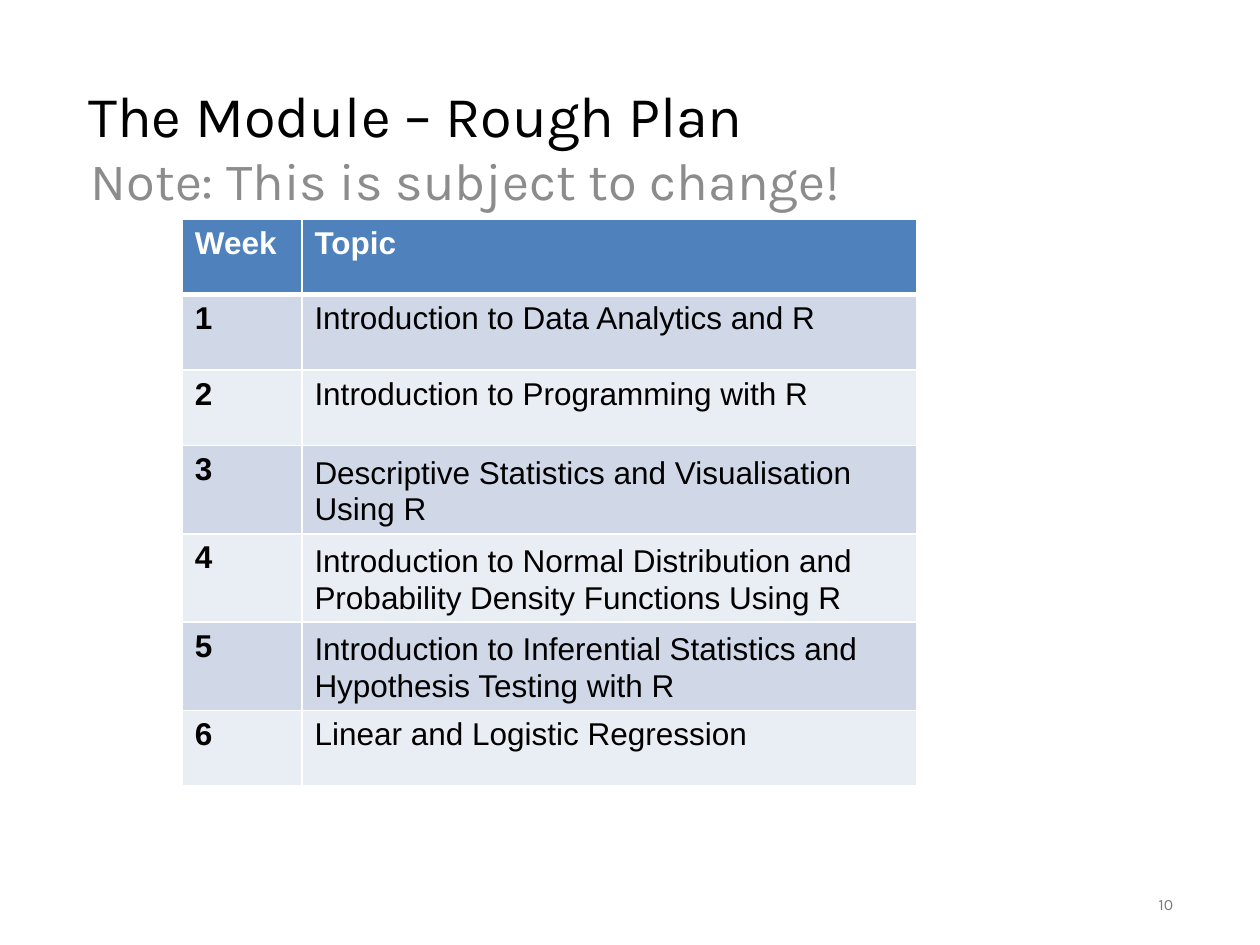
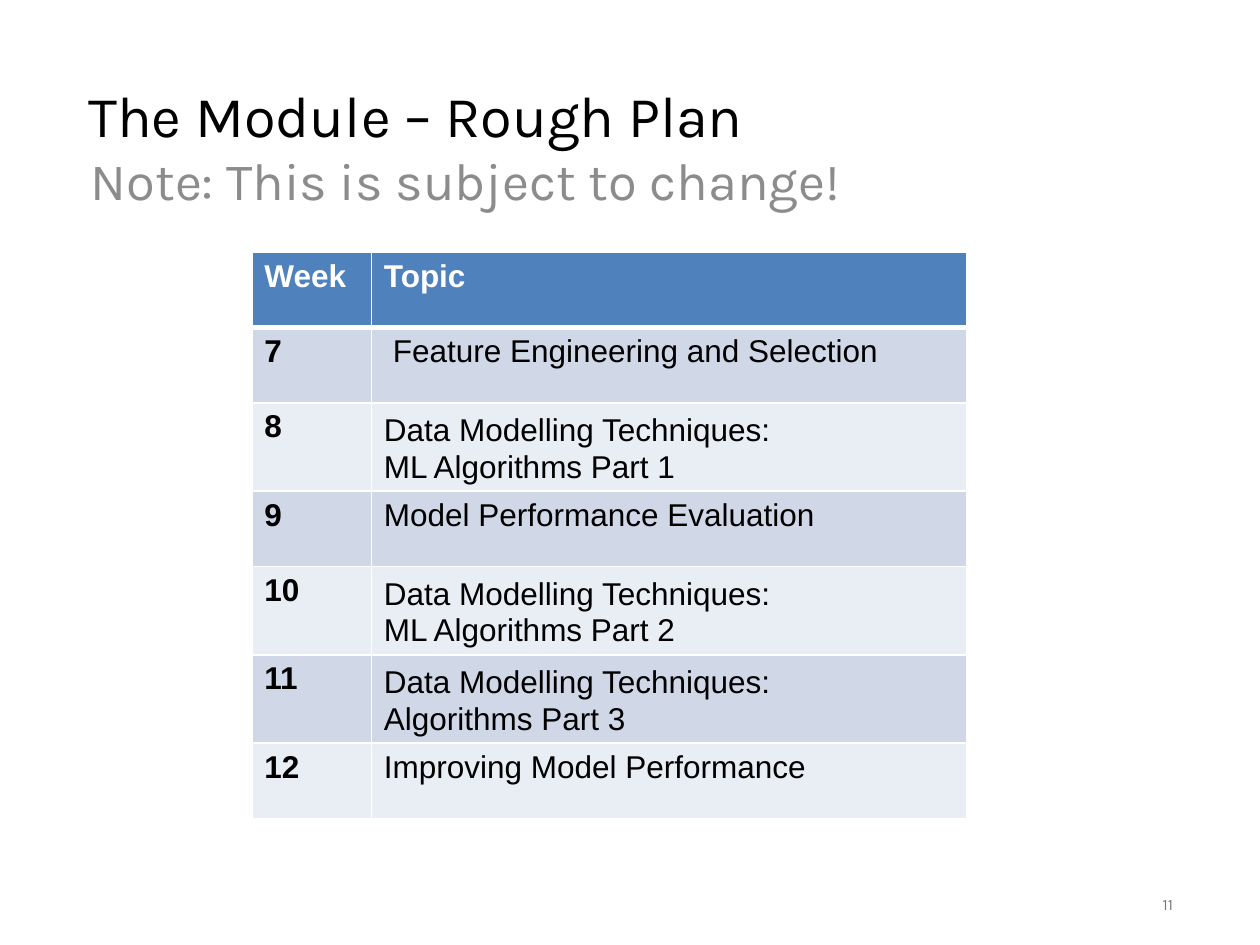
from dataclasses import dataclass

from lxml import etree
from pptx import Presentation
from pptx.dml.color import RGBColor
from pptx.enum.text import MSO_ANCHOR, MSO_AUTO_SIZE, PP_ALIGN
from pptx.oxml.ns import qn
from pptx.util import Cm, Pt

MIDDLE = MSO_ANCHOR.MIDDLE
TOP = MSO_ANCHOR.TOP
NO_AUTOFIT = MSO_AUTO_SIZE.NONE
LEFT = PP_ALIGN.LEFT
RIGHT = PP_ALIGN.RIGHT

TITLE_FONT = "Karla"
TABLE_FONT = "Arial"
TITLE_ONLY_LAYOUT = 5

COLOURS = {
    "black": "000000",
    "white": "FFFFFF",
    "note": "8D8C8D",
    "page_number": "797979",
    "header": "4F81BD",
    "odd_row": "D0D8E8",
    "even_row": "E9EDF4",
}

WEEK_WIDTH = Cm(2.41)
SHORT_ROW = Cm(1.52)
TALL_ROW = Cm(1.78)
CELL_INDENT = Cm(0.25)
TECHNIQUES_MARGIN = Cm(3.5)  # sends the part number to a second line


@dataclass
class TextStyle:
    font: str
    size: float
    colour: str
    bold: bool = False
    align: PP_ALIGN = LEFT
    indent: int = 0
    line_spacing: float | None = None
    space_before: float = 0


@dataclass
class Topic:
    text: str
    two_lines: bool = False
    indent: int = CELL_INDENT
    right_margin: int = 0


@dataclass
class Plan:
    page: int
    first_week: int
    left: int
    top: int
    topic_width: int
    topics: list[Topic]


TITLE_LINES = [
    ("The Module – Rough Plan",
     TextStyle(TITLE_FONT, 33, "black", indent=Cm(0.03), line_spacing=42.5, space_before=1)),
    ("Note: This is subject to change!",
     TextStyle(TITLE_FONT, 30, "note", indent=Cm(0.08), line_spacing=35.3)),
]
PAGE_STYLE = TextStyle(TITLE_FONT, 9, "page_number", align=RIGHT, line_spacing=14.2)

PLANS = [
    Plan(10, 1, Cm(3.68), Cm(4.42), Cm(12.4), [
        Topic("Introduction to Data Analytics and R"),
        Topic("Introduction to Programming with R"),
        Topic("Descriptive Statistics and Visualisation Using R", True),
        Topic("Introduction to Normal Distribution and "
              "Probability Density Functions Using R", True),
        Topic("Introduction to Inferential Statistics and "
              "Hypothesis Testing with R", True),
        Topic("Linear and Logistic Regression"),
    ]),
    Plan(11, 7, Cm(5.08), Cm(5.08), Cm(11.99), [
        Topic("Feature Engineering and Selection", indent=Cm(0.43)),
        Topic("Data Modelling Techniques: ML Algorithms Part 1", True,
              right_margin=TECHNIQUES_MARGIN),
        Topic("Model Performance Evaluation"),
        Topic("Data Modelling Techniques: ML Algorithms Part 2", True,
              right_margin=TECHNIQUES_MARGIN),
        Topic("Data Modelling Techniques: Algorithms Part 3", True,
              right_margin=TECHNIQUES_MARGIN),
        Topic("Improving Model Performance"),
    ]),
]


def colour(name: str) -> RGBColor:
    return RGBColor.from_string(COLOURS[name])


def write_paragraph(paragraph, text: str, style: TextStyle) -> None:
    paragraph.text = text
    paragraph.alignment = style.align
    paragraph.space_before = Pt(style.space_before)
    if style.line_spacing:
        paragraph.line_spacing = Pt(style.line_spacing)
    properties = paragraph._p.get_or_add_pPr()
    properties.set("marL", str(int(style.indent)))
    properties.set("indent", "0")
    for run in paragraph.runs:
        run.font.name = style.font
        run.font.size = Pt(style.size)
        run.font.bold = style.bold
        run.font.color.rgb = colour(style.colour)


def prepare_frame(text_frame) -> None:
    text_frame.word_wrap = True
    text_frame.auto_size = NO_AUTOFIT
    text_frame.vertical_anchor = MIDDLE
    text_frame.margin_left = text_frame.margin_right = 0
    text_frame.margin_top = text_frame.margin_bottom = 0


def add_title(slide) -> None:
    title = slide.shapes.title
    title.left, title.top = Cm(1.75), Cm(1.02)
    title.width, title.height = Cm(21.89), Cm(3.68)
    text_frame = title.text_frame
    prepare_frame(text_frame)
    text_frame.margin_top = Cm(0.03)
    text_frame.text = "\n".join(text for text, _ in TITLE_LINES)
    for paragraph, (text, style) in zip(text_frame.paragraphs, TITLE_LINES):
        write_paragraph(paragraph, text, style)


def add_page_number(slide, number: int) -> None:
    box = slide.shapes.add_textbox(Cm(17.93), Cm(17.65), Cm(5.72), Cm(1.02))
    prepare_frame(box.text_frame)
    write_paragraph(box.text_frame.paragraphs[0], str(number), PAGE_STYLE)


def set_borders(cell, top: float = 1, bottom: float = 1) -> None:
    """White borders; they stand before the fill in the cell properties."""
    properties = cell._tc.get_or_add_tcPr()
    widths = {"a:lnL": 1, "a:lnR": 1, "a:lnT": top, "a:lnB": bottom}
    for position, (tag, width) in enumerate(widths.items()):
        line = etree.Element(qn(tag), w=str(int(Pt(width))))
        fill = etree.SubElement(line, qn("a:solidFill"))
        etree.SubElement(fill, qn("a:srgbClr"), val=COLOURS["white"])
        properties.insert(position, line)


def fill_cell(cell, topic: Topic, row: int, bold: bool) -> None:
    is_header = row == 0
    fill_name = "header" if is_header else ("odd_row" if row % 2 else "even_row")
    cell.fill.solid()
    cell.fill.fore_color.rgb = colour(fill_name)
    set_borders(cell, top=3 if row == 1 else 1, bottom=3 if is_header else 1)
    cell.vertical_anchor = TOP
    cell.margin_left = cell.margin_bottom = 0
    cell.margin_right = topic.right_margin
    cell.margin_top = Cm(0.18 if topic.two_lines else 0.13)
    style = TextStyle(
        TABLE_FONT, 18, "white" if is_header else "black", bold,
        indent=topic.indent,
        line_spacing=20.9 if topic.two_lines else None,
        space_before=5 if topic.two_lines else 3.6,
    )
    write_paragraph(cell.text_frame.paragraphs[0], topic.text, style)


def add_plan_table(slide, plan: Plan) -> None:
    topics = [Topic("Topic"), *plan.topics]
    heights = [TALL_ROW if topic.two_lines else SHORT_ROW for topic in topics]
    table = slide.shapes.add_table(
        len(topics), 2, plan.left, plan.top,
        WEEK_WIDTH + plan.topic_width, sum(heights),
    ).table
    table.columns[0].width = WEEK_WIDTH
    table.columns[1].width = plan.topic_width
    for row, (topic, height) in enumerate(zip(topics, heights)):
        table.rows[row].height = height
        week = str(plan.first_week + row - 1) if row else "Week"
        fill_cell(table.cell(row, 0), Topic(week), row, bold=True)
        fill_cell(table.cell(row, 1), topic, row, bold=row == 0)


def main() -> None:
    presentation = Presentation()
    presentation.slide_width, presentation.slide_height = Cm(25.4), Cm(19.05)
    layout = presentation.slide_layouts[TITLE_ONLY_LAYOUT]
    for plan in PLANS:
        slide = presentation.slides.add_slide(layout)
        add_title(slide)
        add_page_number(slide, plan.page)
        add_plan_table(slide, plan)
    presentation.save("out.pptx")


if __name__ == "__main__":
    main()
